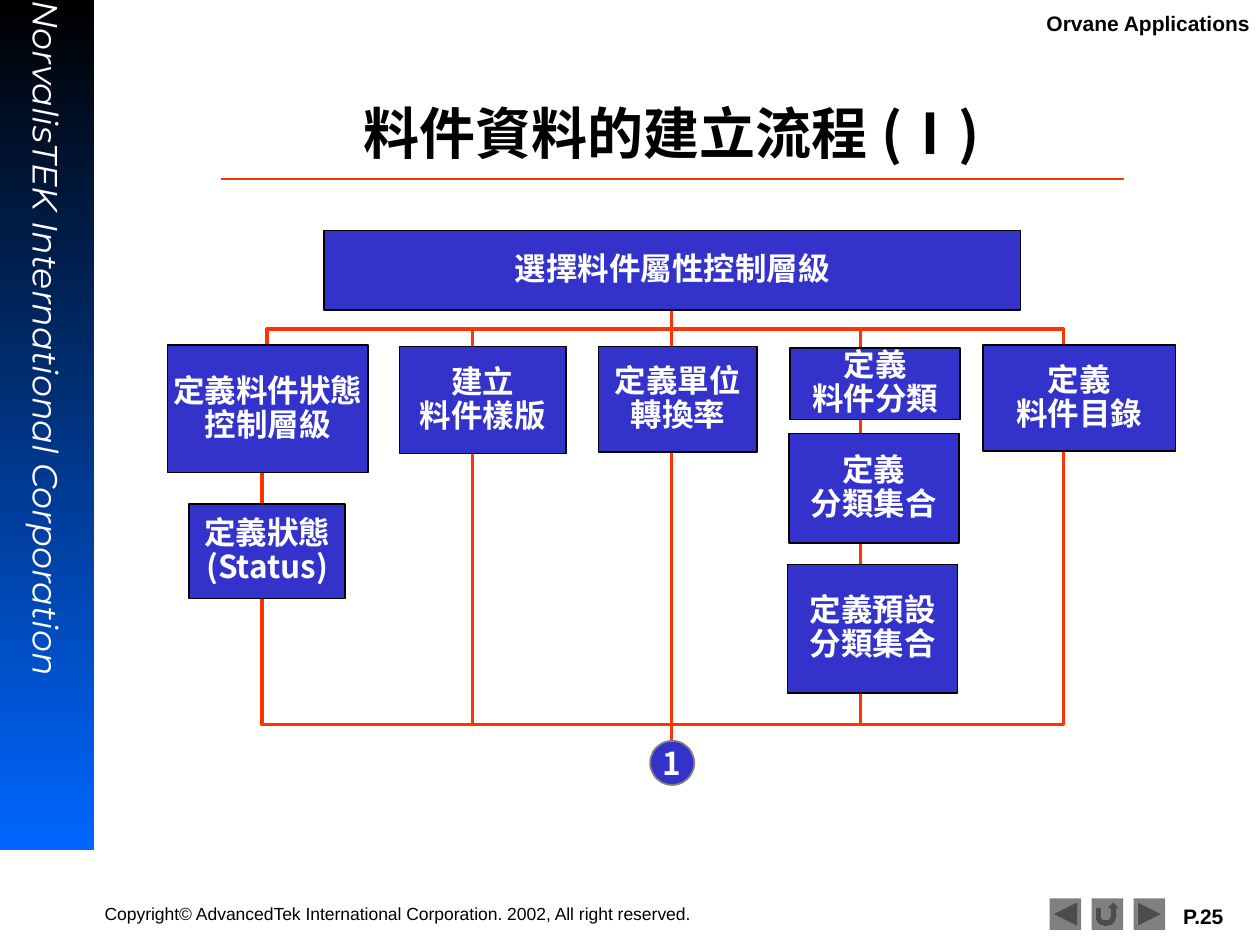
from dataclasses import dataclass

import lxml.etree
import pptx
import pptx.dml.color
import pptx.enum.shapes
import pptx.enum.text
import pptx.oxml.ns
import pptx.util
from pptx.util import Inches

SHAPES = pptx.enum.shapes.MSO_SHAPE
ALIGN = pptx.enum.text.PP_ALIGN
ANCHOR = pptx.enum.text.MSO_ANCHOR


@dataclass(frozen=True)
class Theme:
    """Colours, fonts, type sizes and line widths of the slide."""
    ink: str = "000000"
    paper: str = "FFFFFF"
    accent: str = "FF3300"
    step: str = "3333CC"
    band: str = "0066FF"
    grey: str = "808080"
    label_font: str = "Arial"
    side_font: str = "Montserrat"
    flow_font: str = "Noto Sans CJK SC"
    title_size: int = 32
    side_size: int = 20
    step_size: int = 18
    label_size: int = 12
    small_size: int = 10
    rule_width: float = 1.5
    flow_width: float = 2
    border_width: float = 1


@dataclass(frozen=True)
class Box:
    """A rectangle in inches."""
    left: float
    top: float
    width: float
    height: float

    def inside(self, left, top, width, height):
        """Return a box placed relative to this one."""
        return Box(self.left + left, self.top + top, width, height)

    def point(self, x, y):
        """Return a point placed relative to this box."""
        return Inches(self.left + x), Inches(self.top + y)

    def lengths(self):
        """Return left, top, width and height as lengths."""
        return [Inches(n) for n in (self.left, self.top, self.width, self.height)]


THEME = Theme()

STEPS = [
    ((1.24, 0, 5.53, 0.63), ["選擇料件屬性控制層級"]),
    ((0, 0.91, 1.59, 1.01), ["定義料件狀態", "控制層級"]),
    ((0.17, 2.17, 1.24, 0.75), ["定義狀態", "(Status)"]),
    ((1.84, 0.92, 1.32, 0.85), ["建立", "料件樣版"]),
    ((3.42, 0.92, 1.26, 0.84), ["定義單位", "轉換率"]),
    ((4.94, 0.93, 1.35, 0.57), ["定義", "料件分類"]),
    ((4.93, 1.61, 1.35, 0.87), ["定義", "分類集合"]),
    ((4.92, 2.65, 1.35, 1.02), ["定義預設", "分類集合"]),
    ((6.47, 0.91, 1.53, 0.84), ["定義", "料件目錄"]),
]
BRACKETS = [
    [(0.75, 1.67), (0.75, 3.92), (7.11, 3.92), (7.11, 1.67)],
    [(0.79, 1.42), (0.79, 0.78), (7.11, 0.78), (7.11, 1.42)],
]
STEMS = [(2.42, 0.78, 3.92), (4, 0.59, 4.13), (5.5, 0.78, 3.91)]


def color(value):
    """Turn a hex string into a colour."""
    return pptx.dml.color.RGBColor.from_string(value)


def write(frame, lines, size, font, ink, align, bold=False, italic=False, spacing=None):
    """Fill a text frame with one styled paragraph for each line."""
    for index, line in enumerate(lines):
        paragraph = frame.add_paragraph() if index else frame.paragraphs[0]
        paragraph.alignment = align
        if spacing:
            paragraph.line_spacing = spacing
        run = paragraph.add_run()
        run.text = line
        run.font.size = pptx.util.Pt(size)
        run.font.name = font
        run.font.bold = bold
        run.font.italic = italic
        run.font.color.rgb = color(ink)
        east_asian = lxml.etree.SubElement(run.font._element, pptx.oxml.ns.qn("a:ea"))
        east_asian.set("typeface", font)


def set_insets(frame, horizontal, vertical):
    """Set the margins of a text frame."""
    frame.margin_left = frame.margin_right = Inches(horizontal)
    frame.margin_top = frame.margin_bottom = Inches(vertical)


def add_label(slide, box, text, size, align, bold=False):
    """Add one line of small text without margins."""
    frame = slide.shapes.add_textbox(*box.lengths()).text_frame
    frame.word_wrap = True
    set_insets(frame, 0, 0)
    write(frame, [text], size, THEME.label_font, THEME.ink, align, bold)


def add_line(slide, start, end, width):
    """Add a straight accent line."""
    line = slide.shapes.add_connector(
        pptx.enum.shapes.MSO_CONNECTOR.STRAIGHT, *start, *end)
    line.line.color.rgb = color(THEME.accent)
    line.line.width = pptx.util.Pt(width)
    lxml.etree.SubElement(line._element.spPr, pptx.oxml.ns.qn("a:effectLst"))


def add_node(slide, kind, box, lines, border, spacing=None):
    """Add a filled shape with centred bold text."""
    shape = slide.shapes.add_shape(kind, *box.lengths())
    shape.shadow.inherit = False
    shape.fill.solid()
    shape.fill.fore_color.rgb = color(THEME.step)
    shape.line.color.rgb = color(border)
    shape.line.width = pptx.util.Pt(THEME.border_width)
    frame = shape.text_frame
    frame.word_wrap = False
    frame.vertical_anchor = ANCHOR.MIDDLE
    set_insets(frame, 0.09, 0.05)
    write(frame, lines, THEME.step_size, THEME.flow_font, THEME.paper,
          ALIGN.CENTER, bold=True, spacing=spacing)


def add_sidebar(slide, box, name):
    """Add the gradient band with the vertical company name."""
    band = slide.shapes.add_shape(SHAPES.RECTANGLE, *box.lengths())
    band.shadow.inherit = False
    band.line.fill.background()
    band.fill.gradient()
    band.fill.gradient_angle = 270
    for stop, value in zip(band.fill.gradient_stops, (THEME.ink, THEME.band)):
        stop.color.rgb = color(value)
    label = slide.shapes.add_textbox(*box.inside(0.07, 0, 0.6, box.height).lengths())
    frame = label.text_frame
    frame.word_wrap = True
    frame.vertical_anchor = ANCHOR.MIDDLE
    set_insets(frame, 0.1, 0)
    frame._txBody.bodyPr.set("vert", "eaVert")
    write(frame, [name], THEME.side_size, THEME.side_font, THEME.paper,
          ALIGN.LEFT, italic=True)


def add_title(slide, box, text):
    """Place the title and the rule below it."""
    title = slide.shapes.title
    title.left, title.top, title.width, title.height = box.lengths()
    frame = title.text_frame
    frame.auto_size = pptx.enum.text.MSO_AUTO_SIZE.NONE
    frame.vertical_anchor = ANCHOR.MIDDLE
    write(frame, [text], THEME.title_size, THEME.flow_font, THEME.ink,
          ALIGN.CENTER, bold=True)
    add_line(slide, box.point(0.42, box.height), box.point(7.59, box.height),
             THEME.rule_width)


def add_flow(slide, box):
    """Add the flow lines, the steps and the link to the next part."""
    for points in BRACKETS:
        start, *rest = [box.point(*point) for point in points]
        builder = slide.shapes.build_freeform(*start)
        builder.add_line_segments(rest, close=False)
        bracket = builder.convert_to_shape()
        bracket.shadow.inherit = False
        bracket.fill.background()
        bracket.line.color.rgb = color(THEME.accent)
        bracket.line.width = pptx.util.Pt(THEME.flow_width)
    for x, top, bottom in STEMS:
        add_line(slide, box.point(x, top), box.point(x, bottom), THEME.flow_width)
    for place, lines in STEPS:
        add_node(slide, SHAPES.RECTANGLE, box.inside(*place), lines, THEME.ink, 0.9)
    add_node(slide, SHAPES.OVAL, box.inside(3.83, 4.05, 0.35, 0.35), ["1"], THEME.grey)


def add_footer(slide, box):
    """Add the copyright line, the navigation buttons and the page number."""
    add_label(slide, box.inside(0, 0.04, 4.92, 0.17),
              "Copyright© AdvancedTek International Corporation. 2002, All right reserved.",
              THEME.small_size, ALIGN.LEFT)
    kinds = (SHAPES.ACTION_BUTTON_BACK_OR_PREVIOUS, SHAPES.ACTION_BUTTON_RETURN,
             SHAPES.ACTION_BUTTON_FORWARD_OR_NEXT)
    for index, kind in enumerate(kinds):
        place = box.inside(7.5 + index / 3, 0, 0.25, 0.25)
        button = slide.shapes.add_shape(kind, *place.lengths())
        button.shadow.inherit = False
        button.fill.solid()
        button.fill.fore_color.rgb = color(THEME.grey)
        button.line.fill.background()
    add_label(slide, box.inside(8.43, 0.04, 0.45, 0.2), "P.25",
              THEME.label_size, ALIGN.RIGHT, bold=True)


def main():
    """Build and save the slide."""
    presentation = pptx.Presentation()
    presentation.slide_width, presentation.slide_height = Inches(10), Inches(7.5)
    slide = presentation.slides.add_slide(presentation.slide_layouts[5])
    add_sidebar(slide, Box(0, 0, 0.75, 6.75), "NorvalisTEK International Corporation")
    add_label(slide, Box(7.92, 0.08, 2, 0.2), "Orvane Applications",
              THEME.label_size, ALIGN.RIGHT, bold=True)
    add_title(slide, Box(1.33, 0.67, 8, 0.75), "料件資料的建立流程 (Ⅰ)")
    add_flow(slide, Box(1.33, 1.83, 8, 4.4))
    add_footer(slide, Box(0.83, 7.13, 8.88, 0.25))
    presentation.save("out.pptx")


if __name__ == "__main__":
    main()
